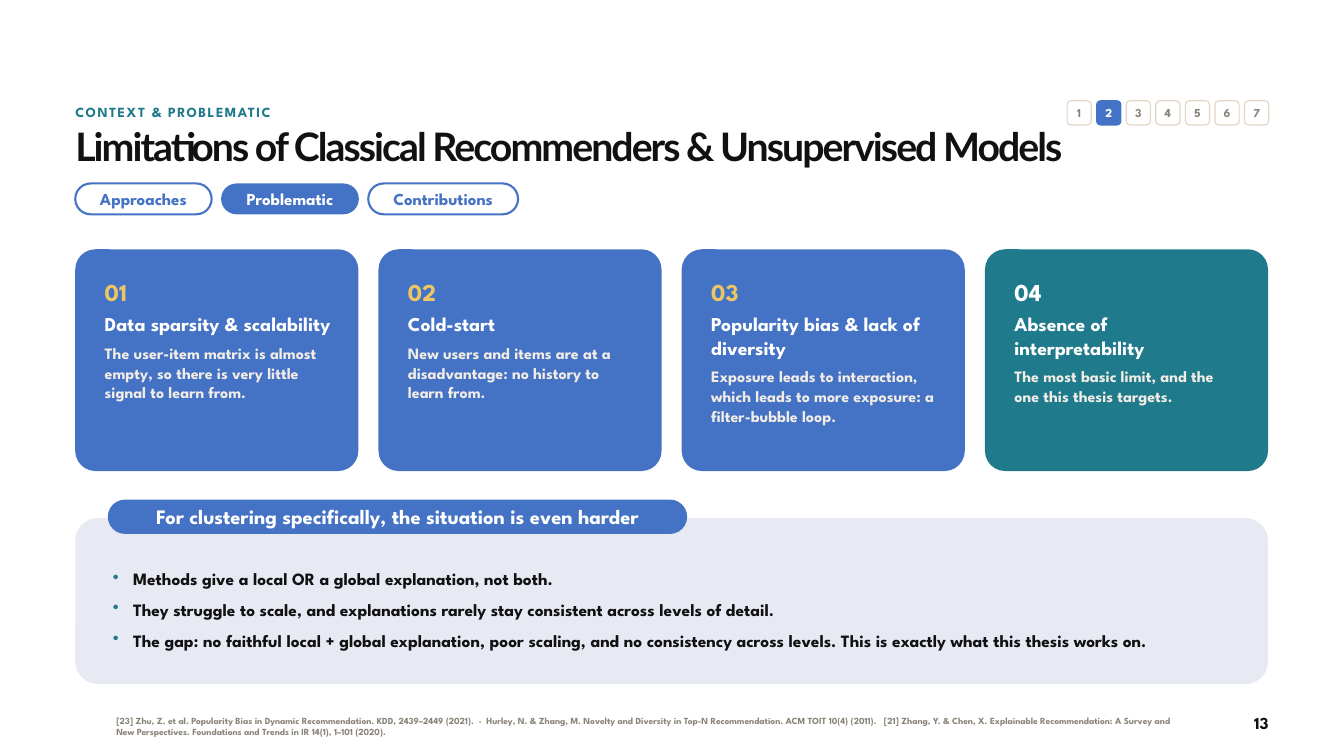
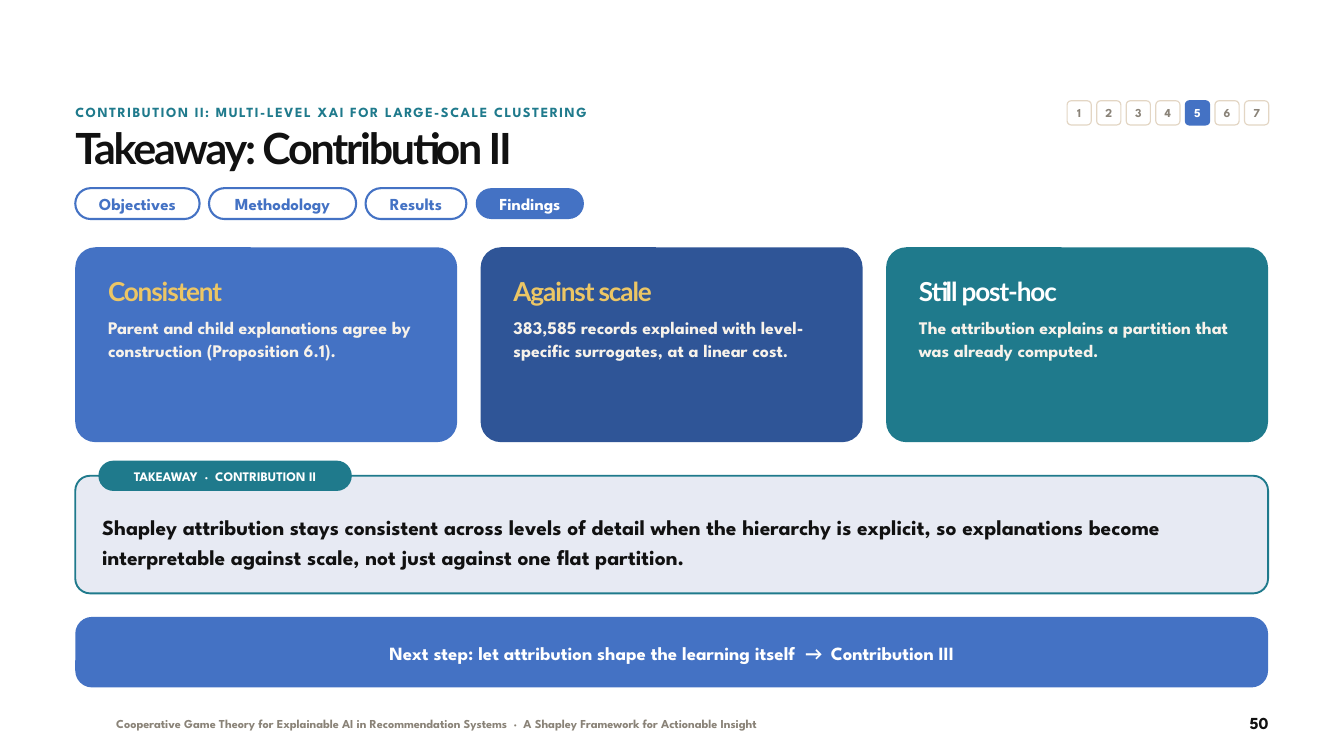
from dataclasses import dataclass
from typing import Any, Optional, Union

import pptx
import pptx.dml.color
import pptx.enum.shapes
import pptx.enum.text
import pptx.oxml.ns
import pptx.util
from lxml import etree
from pptx.util import Inches

COLORS = {
    "blue": "4472C4",
    "navy": "2F5597",
    "teal": "1F7A8C",
    "gold": "ECC665",
    "white": "FFFFFF",
    "ink": "111111",
    "grey": "8A8378",
    "sand": "E3D6C4",
    "mist": "E7EAF3",
    "cream": "F1EDE6",
    "ivory": "F7F2EA",
}
BODY_FONT = "League Spartan"
TITLE_FONT = "Lato"
ARROW_FONT = "Calibri"

LEFT = 1.12
CONTENT_WIDTH = 17.75
STEP_COUNT = 7
ALIGN = pptx.enum.text.PP_ALIGN
ANCHOR = pptx.enum.text.MSO_ANCHOR


@dataclass(frozen=True)
class Box:
    left: float
    top: float
    width: float
    height: float

    def lengths(self) -> list[int]:
        return [Inches(n) for n in (self.left, self.top, self.width, self.height)]


@dataclass(frozen=True)
class Header:
    section: str
    title: str
    title_size: float
    step: int
    page: str


@dataclass(frozen=True)
class Tab:
    label: str
    width: float
    active: bool = False


@dataclass(frozen=True)
class Card:
    heading: str
    body: str
    fill: str = "blue"
    accent: str = "gold"
    number: str = ""


def rgb(name: str) -> pptx.dml.color.RGBColor:
    return pptx.dml.color.RGBColor.from_string(COLORS[name])


def add_paragraph(
    frame: Any,
    text: Union[str, list[tuple[str, str]]],
    *,
    size: float,
    color: str,
    leading: float,
    font: str = BODY_FONT,
    tracking: float = 0,
    before: float = 0,
    align: Any = ALIGN.LEFT,
    bullet_color: Optional[str] = None,
) -> None:
    """Fill the empty first paragraph or append one; a list holds (text, font) runs."""
    paragraph = frame.paragraphs[0]
    if paragraph.runs:
        paragraph = frame.add_paragraph()
    if bullet_color:
        add_bullet(paragraph, bullet_color)
    paragraph.alignment = align
    paragraph.line_spacing = pptx.util.Pt(leading)
    paragraph.space_before = pptx.util.Pt(before)
    for words, run_font in [(text, font)] if isinstance(text, str) else text:
        run = paragraph.add_run()
        run.text = words
        run.font.name = run_font
        run.font.size = pptx.util.Pt(size)
        run.font.bold = True
        run.font.color.rgb = rgb(color)
        if tracking:
            run.font._element.set("spc", str(round(tracking * 100)))


def add_bullet(paragraph: Any, color: str) -> None:
    properties = paragraph._p.get_or_add_pPr()
    properties.set("marL", str(Inches(0.3)))
    properties.set("indent", str(Inches(-0.3)))
    qn = pptx.oxml.ns.qn
    bullet_fill = etree.SubElement(properties, qn("a:buClr"))
    etree.SubElement(bullet_fill, qn("a:srgbClr"), val=COLORS[color])
    etree.SubElement(properties, qn("a:buChar"), char="•")


def set_frame(
    frame: Any,
    insets: tuple[float, float, float, float] = (0, 0, 0, 0),
    anchor: Any = ANCHOR.TOP,
) -> Any:
    """Apply left, top, right and bottom insets with wrapping, and return the frame."""
    frame.word_wrap = True
    frame.auto_size = pptx.enum.text.MSO_AUTO_SIZE.NONE
    frame.vertical_anchor = anchor
    (frame.margin_left, frame.margin_top,
     frame.margin_right, frame.margin_bottom) = map(Inches, insets)
    return frame


def add_text_box(slide: Any, box: Box, anchor: Any = ANCHOR.TOP) -> Any:
    return set_frame(slide.shapes.add_textbox(*box.lengths()).text_frame, anchor=anchor)


def add_panel(
    slide: Any,
    box: Box,
    radius: float,
    *,
    fill: Optional[str] = None,
    line: Optional[str] = None,
    line_width: float = 2.25,
    insets: tuple[float, float, float, float] = (0.05, 0, 0.05, 0),
    anchor: Any = ANCHOR.MIDDLE,
) -> Any:
    """Draw a rounded rectangle with its corner radius in inches; return its text frame."""
    panel = slide.shapes.add_shape(
        pptx.enum.shapes.MSO_SHAPE.ROUNDED_RECTANGLE, *box.lengths())
    panel.adjustments[0] = radius / min(box.width, box.height)
    panel.shadow.inherit = False
    if fill:
        panel.fill.solid()
        panel.fill.fore_color.rgb = rgb(fill)
    else:
        panel.fill.background()
    if line:
        panel.line.color.rgb = rgb(line)
        panel.line.width = pptx.util.Pt(line_width)
    else:
        panel.line.fill.background()
    return set_frame(panel.text_frame, insets, anchor)


def add_pill(
    slide: Any, box: Box, label: str, *, size: float,
    fill: Optional[str], line: Optional[str], color: str = "white",
) -> None:
    frame = add_panel(slide, box, box.height / 2, fill=fill, line=line)
    add_paragraph(frame, label, size=size, color=color, leading=size * 1.2,
                  align=ALIGN.CENTER)


def add_steps(slide: Any, current: int) -> None:
    for step in range(1, STEP_COUNT + 1):
        active = step == current
        box = Box(15.88 + 0.44 * (step - 1), 1.5, 0.36, 0.36)
        frame = add_panel(slide, box, 0.06, fill="blue" if active else "white",
                          line="blue" if active else "sand", line_width=1.25,
                          insets=(0, 0, 0, 0))
        add_paragraph(frame, str(step), size=13, color="white" if active else "grey",
                      leading=15, align=ALIGN.CENTER)


def start_slide(deck: Any, header: Header) -> Any:
    """Add a slide with section label, title, step tracker and page number."""
    slide = deck.slides.add_slide(deck.slide_layouts[5])
    title = slide.shapes.title
    leading = header.title_size * 1.1
    title.left, title.top, title.width, title.height = Box(
        LEFT, 1.88, CONTENT_WIDTH, 0.8).lengths()
    add_paragraph(set_frame(title.text_frame), header.title, size=header.title_size,
                  color="ink", leading=leading, font=TITLE_FONT,
                  tracking=-header.title_size / 20)
    add_paragraph(add_text_box(slide, Box(LEFT, 1.52, 14.15, 0.36)), header.section,
                  size=15, color="teal", leading=20, tracking=1.6)
    add_steps(slide, header.step)
    add_paragraph(add_text_box(slide, Box(17.68, 10.6, 1.2, 0.36)), header.page,
                  size=18, color="ink", leading=22, align=ALIGN.RIGHT)
    return slide


def add_tabs(slide: Any, top: float, tabs: list[Tab]) -> None:
    left = LEFT
    for tab in tabs:
        add_pill(slide, Box(left, top, tab.width, 0.46), tab.label, size=18,
                 fill="blue" if tab.active else None,
                 line=None if tab.active else "blue",
                 color="white" if tab.active else "blue")
        left += tab.width + 0.14


def add_cards(
    slide: Any, cards: list[Card], *, top: float, height: float, gap: float,
    insets: tuple[float, float, float, float],
) -> None:
    """Spread equal cards over the content width; numbered cards use smaller text."""
    width = (CONTENT_WIDTH - gap * (len(cards) - 1)) / len(cards)
    for index, card in enumerate(cards):
        box = Box(LEFT + index * (width + gap), top, width, height)
        frame = add_panel(slide, box, 0.3, fill=card.fill, insets=insets,
                          anchor=ANCHOR.TOP)
        if card.number:
            add_paragraph(frame, card.number, size=26, color=card.accent, leading=30)
            add_paragraph(frame, card.heading, size=21, color="white", leading=25, before=6)
            add_paragraph(frame, card.body, size=17, color="cream", leading=21, before=8)
        else:
            add_paragraph(frame, card.heading, size=28, color=card.accent, leading=32,
                          font=TITLE_FONT, tracking=-1.2)
            add_paragraph(frame, card.body, size=19, color="ivory", leading=24, before=10)


def build_limitations(deck: Any) -> None:
    slide = start_slide(deck, Header(
        "CONTEXT & PROBLEMATIC",
        "Limitations of Classical Recommenders & Unsupervised Models", 42, 2, "13"))
    add_tabs(slide, 2.73, [Tab("Approaches", 2.03), Tab("Problematic", 2.05, True),
                           Tab("Contributions", 2.23)])
    limits = [
        Card("Data sparsity & scalability", "The user-item matrix is almost empty, "
             "so there is very little signal to learn from.", number="01"),
        Card("Cold-start", "New users and items are at a disadvantage: "
             "no history to learn from.", number="02"),
        Card("Popularity bias & lack of diversity", "Exposure leads to interaction, "
             "which leads to more exposure: a filter-bubble loop.", number="03"),
        Card("Absence of interpretability", "The most basic limit, and the one "
             "this thesis targets.", "teal", "white", "04"),
    ]
    add_cards(slide, limits, top=3.71, height=3.3, gap=0.3, insets=(0.35, 0.35, 0.3, 0.25))

    add_panel(slide, Box(LEFT, 7.71, CONTENT_WIDTH, 2.47), 0.34, fill="mist")
    add_pill(slide, Box(1.62, 7.45, 8.59, 0.48),
             "For clustering specifically, the situation is even harder",
             size=22, fill="blue", line="blue")
    difficulties = add_text_box(slide, Box(1.68, 8.41, 16.7, 1.47))
    for index, difficulty in enumerate([
        "Methods give a local OR a global explanation, not both.",
        "They struggle to scale, and explanations rarely stay consistent "
        "across levels of detail.",
        "The gap: no faithful local + global explanation, poor scaling, and no "
        "consistency across levels. This is exactly what this thesis works on.",
    ]):
        add_paragraph(difficulties, difficulty, size=18.5, color="ink", leading=25.9,
                      before=7 if index else 0, bullet_color="teal")
    references = add_text_box(slide, Box(1.73, 10.5, 15.85, 0.62), ANCHOR.MIDDLE)
    add_paragraph(
        references,
        "[23] Zhu, Z. et al. Popularity Bias in Dynamic Recommendation. KDD, 2439–2449 "
        "(2021).  ·  Hurley, N. & Zhang, M. Novelty and Diversity in Top-N Recommendation. "
        "ACM TOIT 10(4) (2011).   [21] Zhang, Y. & Chen, X. Explainable Recommendation: "
        "A Survey and New Perspectives. Foundations and Trends in IR 14(1), 1–101 (2020).",
        size=10, color="grey", leading=12)


def build_takeaway(deck: Any) -> None:
    slide = start_slide(deck, Header(
        "CONTRIBUTION II: MULTI-LEVEL XAI FOR LARGE-SCALE CLUSTERING",
        "Takeaway: Contribution II", 46, 5, "50"))
    add_tabs(slide, 2.8, [Tab("Objectives", 1.85), Tab("Methodology", 2.19),
                          Tab("Results", 1.5), Tab("Findings", 1.61, True)])
    findings = [
        Card("Consistent", "Parent and child explanations agree by construction "
             "(Proposition 6.1)."),
        Card("Against scale", "383,585 records explained with level-specific surrogates, "
             "at a linear cost.", "navy"),
        Card("Still post-hoc", "The attribution explains a partition that was already "
             "computed.", "teal", "white"),
    ]
    add_cards(slide, findings, top=3.68, height=2.9, gap=0.35, insets=(0.4, 0.35, 0.4, 0.25))

    add_panel(slide, Box(LEFT, 7.08, CONTENT_WIDTH, 1.75), 0.22, fill="mist",
              line="teal", line_width=2)
    add_pill(slide, Box(1.48, 6.87, 3.74, 0.42), "TAKEAWAY  ·  CONTRIBUTION II",
             size=14, fill="teal", line="teal")
    add_paragraph(
        add_text_box(slide, Box(1.52, 7.38, 16.95, 1.3), ANCHOR.MIDDLE),
        "Shapley attribution stays consistent across levels of detail when the hierarchy "
        "is explicit, so explanations become interpretable against scale, not just "
        "against one flat partition.", size=23, color="ink", leading=32.2)
    next_step = add_panel(slide, Box(LEFT, 9.18, CONTENT_WIDTH, 1.05), 0.25, fill="blue",
                          insets=(0.5, 0.05, 0.5, 0.05))
    add_paragraph(next_step, [
        ("Next step: let attribution shape the learning itself  ", BODY_FONT),
        ("→  ", ARROW_FONT),
        ("Contribution III", BODY_FONT),
    ], size=20, color="white", leading=25, align=ALIGN.CENTER)
    add_paragraph(
        add_text_box(slide, Box(1.73, 10.66, 14, 0.3)),
        "Cooperative Game Theory for Explainable AI in Recommendation Systems  ·  "
        "A Shapley Framework for Actionable Insight", size=13, color="grey", leading=16)


def main() -> None:
    deck = pptx.Presentation()
    deck.slide_width, deck.slide_height = Inches(20), Inches(11.25)
    build_limitations(deck)
    build_takeaway(deck)
    deck.save("out.pptx")


if __name__ == "__main__":
    main()
